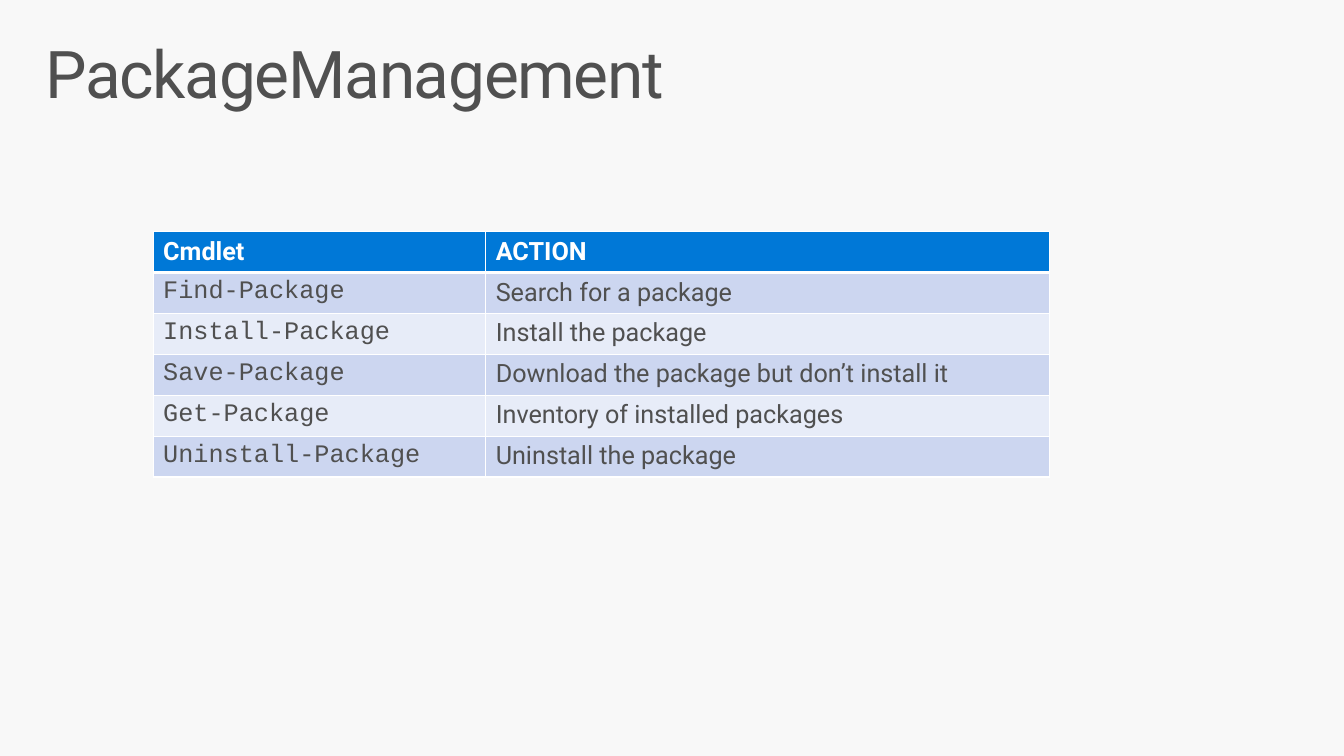
import pptx
import pptx.util
import pptx.dml.color
import pptx.enum.text
import pptx.oxml.ns
import lxml.etree

Cm = pptx.util.Cm
Pt = pptx.util.Pt

CMDLETS = [
    ("Cmdlet", "ACTION"),
    ("Find-Package", "Search for a package"),
    ("Install-Package", "Install the package"),
    ("Save-Package", "Download the package but don’t install it"),
    ("Get-Package", "Inventory of installed packages"),
    ("Uninstall-Package", "Uninstall the package"),
]


def color(value):
    return pptx.dml.color.RGBColor.from_string(value)


class SlideBuilder:
    body_font = "Roboto"
    code_font = "Courier New"
    ink = "505050"
    white = "FFFFFF"
    header_fill = "0078D7"
    band_fills = ("CCD6F0", "E7ECF8")

    def __init__(self, slide, background):
        self.slide = slide
        slide.background.fill.solid()
        slide.background.fill.fore_color.rgb = color(background)

    def format_run(self, run, size, font, ink, bold=False):
        run.font.size = Pt(size)
        run.font.name = font
        run.font.bold = bold
        run.font.color.rgb = color(ink)

    def title(self, text, left, top, width, height):
        heading = self.slide.shapes.add_textbox(Cm(left), Cm(top), Cm(width), Cm(height))
        frame = heading.text_frame
        frame.word_wrap = True
        frame.vertical_anchor = pptx.enum.text.MSO_ANCHOR.TOP
        frame.margin_left = frame.margin_right = Cm(0.41)
        frame.margin_top = frame.margin_bottom = Cm(0.25)
        frame.text = text
        paragraph = frame.paragraphs[0]
        paragraph.line_spacing = 0.9
        run = paragraph.runs[0]
        self.format_run(run, 47, self.body_font, self.ink)
        run.font._element.set("spc", "-100")  # letter spacing of -1 pt

    def border(self, cell, side, width):
        properties = cell._tc.get_or_add_tcPr()
        qn = pptx.oxml.ns.qn
        line = lxml.etree.SubElement(properties, qn(f"a:ln{side}"), w=str(Pt(width)))
        fill = lxml.etree.SubElement(line, qn("a:solidFill"))
        lxml.etree.SubElement(fill, qn("a:srgbClr"), val=self.white)

    def table(self, rows, left, top, column_widths, row_height):
        grid = self.slide.shapes.add_table(
            len(rows), len(column_widths), Cm(left), Cm(top),
            Cm(sum(column_widths)), Cm(row_height * len(rows))).table
        for column, width in zip(grid.columns, column_widths):
            column.width = Cm(width)
        for r, texts in enumerate(rows):
            grid.rows[r].height = Cm(row_height)
            for c, text in enumerate(texts):
                self.cell(grid.cell(r, c), text, r, c)

    def cell(self, cell, text, row, column):
        is_header = row == 0
        # Heavier rule between the header and the body
        widths = {"L": 1, "R": 1, "T": 3 if row == 1 else 1, "B": 3 if is_header else 1}
        for side, width in widths.items():
            self.border(cell, side, width)
        cell.fill.solid()
        cell.fill.fore_color.rgb = color(
            self.header_fill if is_header else self.band_fills[(row - 1) % 2])
        cell.text_frame.text = text
        font = self.code_font if column == 0 and not is_header else self.body_font
        self.format_run(cell.text_frame.paragraphs[0].runs[0], 18, font,
                        self.white if is_header else self.ink, is_header)


def main():
    deck = pptx.Presentation()
    deck.slide_width, deck.slide_height = Cm(33.87), Cm(19.05)
    builder = SlideBuilder(deck.slides.add_slide(deck.slide_layouts[6]), "F8F8F8")

    # Heading
    builder.title("PackageManagement", 0.74, 0.81, 32.39, 2.49)

    # Cmdlets and what they do
    builder.table(CMDLETS, 3.86, 5.84, (8.38, 14.2), 1.03)

    deck.save("out.pptx")


if __name__ == "__main__":
    main()
